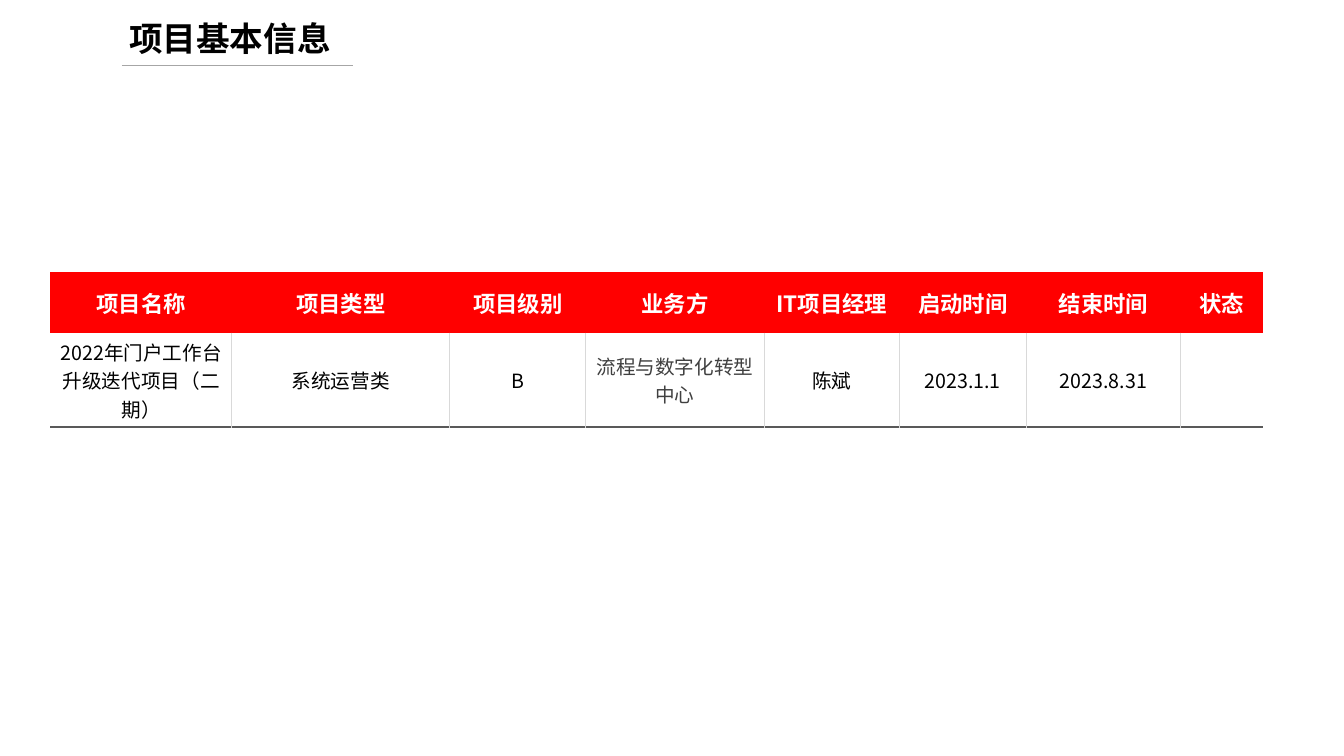
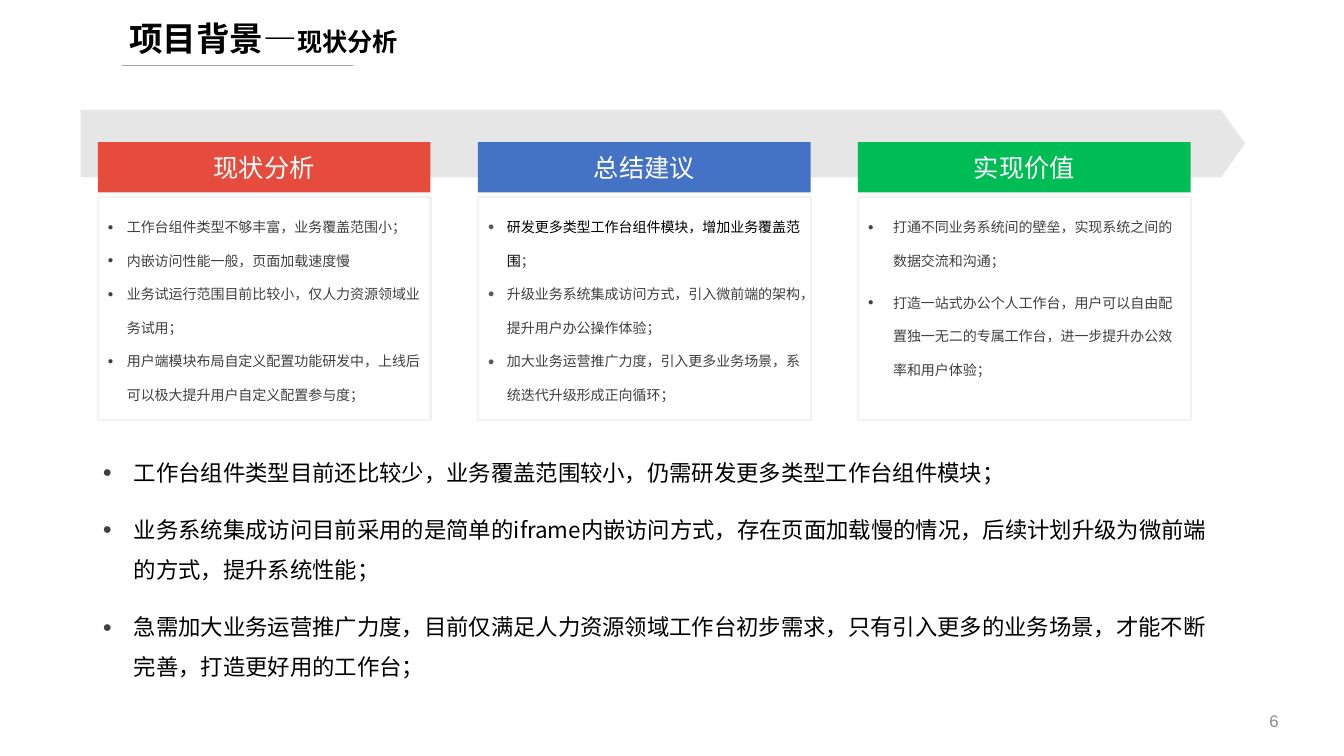
from lxml import etree
from pptx import Presentation
from pptx.dml.color import RGBColor
from pptx.enum.shapes import MSO_CONNECTOR, MSO_SHAPE
from pptx.enum.text import MSO_ANCHOR, MSO_AUTO_SIZE, PP_ALIGN
from pptx.oxml.ns import qn
from pptx.util import Inches, Pt

RECTANGLE, PENTAGON = MSO_SHAPE.RECTANGLE, MSO_SHAPE.PENTAGON
STRAIGHT = MSO_CONNECTOR.STRAIGHT
TOP, MIDDLE = MSO_ANCHOR.TOP, MSO_ANCHOR.MIDDLE
LEFT, CENTER, RIGHT = PP_ALIGN.LEFT, PP_ALIGN.CENTER, PP_ALIGN.RIGHT
GROW = MSO_AUTO_SIZE.SHAPE_TO_FIT_TEXT
TITLE_ONLY = 5
CJK_FONT, LATIN_FONT = "Noto Sans CJK SC", "Arial"

COLORS = {
    "black": "000000", "white": "FFFFFF", "body": "404040", "bullet": "595959",
    "number": "8C8C8C", "title_rule": "A6A6A6", "header": "FF0000",
    "column_rule": "D9D9D9", "bottom_rule": "595959", "arrow": "CCCCCC",
    "outline": "F2F2F2", "red": "E64C3D", "blue": "4472C4", "green": "00BC55",
}

COLUMN_WIDTHS = (1.8, 2.16, 1.35, 1.77, 1.34, 1.26, 1.53, 0.82)
TABLE_ROWS = (
    ("项目名称", "项目类型", "项目级别", "业务方", "IT项目经理", "启动时间", "结束时间", "状态"),
    ("2022年门户工作台升级迭代项目（二期）", "系统运营类", "B", "流程与数字化转型中心",
     "陈斌", "2023.1.1", "2023.8.31", ""),
)

PANELS = (
    ("现状分析", "red", {"indent": 0.19}, (
        (("工作台组件类型不够丰富，业务覆盖范围小；", "body"),),
        (("内嵌访问性能一般，页面加载速度慢", "body"),),
        (("业务试运行范围目前比较小，仅人力资源领域业务试用；", "body"),),
        (("用户端模块布局自定义配置功能研发中，上线后可以极大提升用户自定义配置参与度；", "body"),),
    )),
    ("总结建议", "blue", {"indent": 0.19, "color": "bullet", "percent": 80}, (
        (("研发更多类型工作台组件模块，增加业务覆盖范围", "black"), ("；", "body")),
        (("升级业务系统集成访问方式，引入微前端的架构，提升用户办公操作体验；", "body"),),
        (("加大业务运营推广力度，引入更多业务场景，系统迭代升级形成正向循环；", "body"),),
    )),
    ("实现价值", "green", {"indent": 0.25, "before": 6}, (
        (("打通不同业务系统间的壁垒，实现系统之间的数据交流和沟通；", "body"),),
        (("打造一站式办公个人工作台，用户可以自由配置独一无二的专属工作台，"
          "进一步提升办公效率和用户体验；", "body"),),
    )),
)

CONCLUSIONS = (
    "工作台组件类型目前还比较少，业务覆盖范围较小，仍需研发更多类型工作台组件模块；",
    "业务系统集成访问目前采用的是简单的iframe内嵌访问方式，存在页面加载慢的情况，"
    "后续计划升级为微前端的方式，提升系统性能；",
    "急需加大业务运营推广力度，目前仅满足人力资源领域工作台初步需求，"
    "只有引入更多的业务场景，才能不断完善，打造更好用的工作台；",
)


def rgb(name):
    """Return the named colour."""
    return RGBColor.from_string(COLORS[name])


def add_element(parent, tag, **attributes):
    """Append a DrawingML element and return it."""
    element = etree.SubElement(parent, qn(tag))
    for key, value in attributes.items():
        element.set(key, str(value))
    return element


def add_text(paragraph, text, size=10, color="black", bold=False,
             font=CJK_FONT, align=LEFT):
    """Append one formatted run to a paragraph."""
    paragraph.alignment = align
    run = paragraph.add_run()
    run.text = text
    run.font.size = Pt(size)
    run.font.bold = bold
    run.font.color.rgb = rgb(color)
    run.font.name = font
    add_element(run.font._element, "a:ea", typeface=CJK_FONT)


def format_bullet(paragraph, indent, spacing, before=0, color="body", percent=70):
    """Give a paragraph its spacing, hanging indent and round bullet."""
    paragraph.line_spacing = spacing
    paragraph.space_before = Pt(before)
    properties = paragraph._p.get_or_add_pPr()
    properties.set("marL", str(Inches(indent)))
    properties.set("indent", str(-Inches(indent)))
    bullet_color = add_element(properties, "a:buClr")
    add_element(bullet_color, "a:srgbClr", val=COLORS[color])
    add_element(properties, "a:buSzPct", val=percent * 1000)
    add_element(properties, "a:buFont", typeface=LATIN_FONT)
    add_element(properties, "a:buChar", char="●")


def get_paragraph(frame, index):
    """Return the first paragraph, or a new one after it."""
    return frame.add_paragraph() if index else frame.paragraphs[0]


def add_text_box(slide, left, top, width, height, anchor=TOP):
    """Add a wrapping text box and return its text frame."""
    shape = slide.shapes.add_textbox(
        Inches(left), Inches(top), Inches(width), Inches(height))
    frame = shape.text_frame
    frame.word_wrap = True
    frame.vertical_anchor = anchor
    return frame


def add_box(slide, kind, left, top, width, height, fill=None, line=None):
    """Add a preset shape without shadow."""
    shape = slide.shapes.add_shape(
        kind, Inches(left), Inches(top), Inches(width), Inches(height))
    shape.shadow.inherit = False
    if fill:
        shape.fill.solid()
        shape.fill.fore_color.rgb = rgb(fill)
    else:
        shape.fill.background()
    if line:
        shape.line.color.rgb = rgb(line)
        shape.line.width = Pt(1.5)
    else:
        shape.line.fill.background()
    return shape


def add_titled_slide(presentation, title, subtitle="", width=2.22):
    """Add a slide with the shared title and the rule below it."""
    slide = presentation.slides.add_slide(presentation.slide_layouts[TITLE_ONLY])
    shape = slide.shapes.title
    shape.left, shape.top = Inches(1.18), Inches(0.13)
    shape.width, shape.height = Inches(width), Inches(0.5)
    frame = shape.text_frame
    frame.word_wrap = False
    frame.auto_size = GROW
    frame.vertical_anchor = TOP
    paragraph = frame.paragraphs[0]
    add_text(paragraph, title, size=24, bold=True)
    if subtitle:
        add_text(paragraph, subtitle, size=18, bold=True)
    rule = slide.shapes.add_connector(
        STRAIGHT, Inches(1.21), Inches(0.65), Inches(3.5), Inches(0.65))
    rule.line.color.rgb = rgb("title_rule")
    rule.line.width = Pt(0.5)
    add_element(rule._element.spPr, "a:effectLst")
    return slide


def set_borders(cell, borders):
    """Draw the given cell borders and clear the other sides."""
    properties = cell._tc.get_or_add_tcPr()
    for side in "LRTB":
        color, width = borders.get(side, (None, 0))
        line = add_element(properties, f"a:ln{side}", w=Pt(width))
        if color:
            fill = add_element(line, "a:solidFill")
            add_element(fill, "a:srgbClr", val=COLORS[color])
        else:
            add_element(line, "a:noFill")


def get_body_borders(column):
    """Return the borders of a body cell in the given column."""
    borders = {"B": ("bottom_rule", 1.5)}
    if column > 0:
        borders["L"] = ("column_rule", 1 if column == 1 else 0.5)
    if column < len(COLUMN_WIDTHS) - 1:
        borders["R"] = ("column_rule", 1 if column == 0 else 0.5)
    return borders


def add_project_table(slide, left, top):
    """Add the table of project facts."""
    frame = slide.shapes.add_table(
        len(TABLE_ROWS), len(COLUMN_WIDTHS), Inches(left), Inches(top),
        Inches(sum(COLUMN_WIDTHS)), Inches(1.54))
    table = frame.table
    table.first_row = table.horz_banding = False
    for column, width in zip(table.columns, COLUMN_WIDTHS):
        column.width = Inches(width)
    for row, height in zip(table.rows, (0.6, 0.94)):
        row.height = Inches(height)
    for row_index, texts in enumerate(TABLE_ROWS):
        is_header = row_index == 0
        for column_index, text in enumerate(texts):
            cell = table.cell(row_index, column_index)
            set_borders(cell, {} if is_header else get_body_borders(column_index))
            cell.fill.solid()
            cell.fill.fore_color.rgb = rgb("header" if is_header else "white")
            cell.vertical_anchor = MIDDLE
            cell.margin_left = cell.margin_right = Inches(0.08)
            cell.margin_top = cell.margin_bottom = 0
            if is_header:
                style = {"size": 16, "color": "white", "bold": True}
            else:
                style = {"size": 14, "color": "body" if column_index == 3 else "black"}
            if text:
                add_text(cell.text_frame.paragraphs[0], text, align=CENTER, **style)


def add_arrow_band(slide, left, top, width, height):
    """Add the pale arrow behind the panels."""
    arrow = add_box(slide, PENTAGON, left, top, width, height, fill="arrow")
    arrow.adjustments[0] = 0.36
    color = arrow._element.spPr.find(qn("a:solidFill")).find(qn("a:srgbClr"))
    add_element(color, "a:alpha", val=48000)


def add_panel(slide, left, top, heading, fill, bullet, items, width=3.3):
    """Add a coloured heading with a bulleted box below it."""
    body = add_box(slide, RECTANGLE, left, top + 0.54, width, 2.22, line="outline")
    frame = body.text_frame
    frame.vertical_anchor = TOP
    for index, runs in enumerate(items):
        paragraph = get_paragraph(frame, index)
        format_bullet(paragraph, spacing=2.0, **bullet)
        for text, color in runs:
            add_text(paragraph, text, color=color)
    header = add_box(slide, RECTANGLE, left, top, width, 0.5, fill=fill)
    header.text_frame.vertical_anchor = MIDDLE
    add_text(header.text_frame.paragraphs[0], heading, size=18, color="white",
             font=LATIN_FONT, align=CENTER)


def add_conclusions(slide, left, top, width, height):
    """Add the bulleted conclusions."""
    frame = add_text_box(slide, left, top, width, height)
    frame.auto_size = GROW
    for index, text in enumerate(CONCLUSIONS):
        paragraph = get_paragraph(frame, index)
        format_bullet(paragraph, indent=0.31, spacing=1.5, before=12 if index else 6)
        add_text(paragraph, text, size=16)


def add_page_number(slide, number):
    """Add the page number at the bottom right."""
    frame = add_text_box(slide, 9.78, 6.95, 3, 0.4, anchor=MIDDLE)
    add_text(frame.paragraphs[0], number, size=12, color="number",
             font=LATIN_FONT, align=RIGHT)


def build_information_slide(presentation):
    """Build the slide of basic project facts."""
    slide = add_titled_slide(presentation, "项目基本信息")
    add_project_table(slide, 0.5, 2.7)


def build_background_slide(presentation):
    """Build the slide of the current state, advice and value."""
    slide = add_titled_slide(presentation, "项目背景—", "现状分析", width=2.89)
    add_conclusions(slide, 0.92, 4.37, 11.32, 2.46)
    add_page_number(slide, "6")
    add_arrow_band(slide, 0.8, 1.09, 11.55, 0.67)
    for index, panel in enumerate(PANELS):
        add_panel(slide, 0.97 + 3.77 * index, 1.41, *panel)


def main():
    """Build and save the presentation."""
    presentation = Presentation()
    presentation.slide_width = Inches(13.33)
    presentation.slide_height = Inches(7.5)
    build_information_slide(presentation)
    build_background_slide(presentation)
    presentation.save("out.pptx")


if __name__ == "__main__":
    main()
